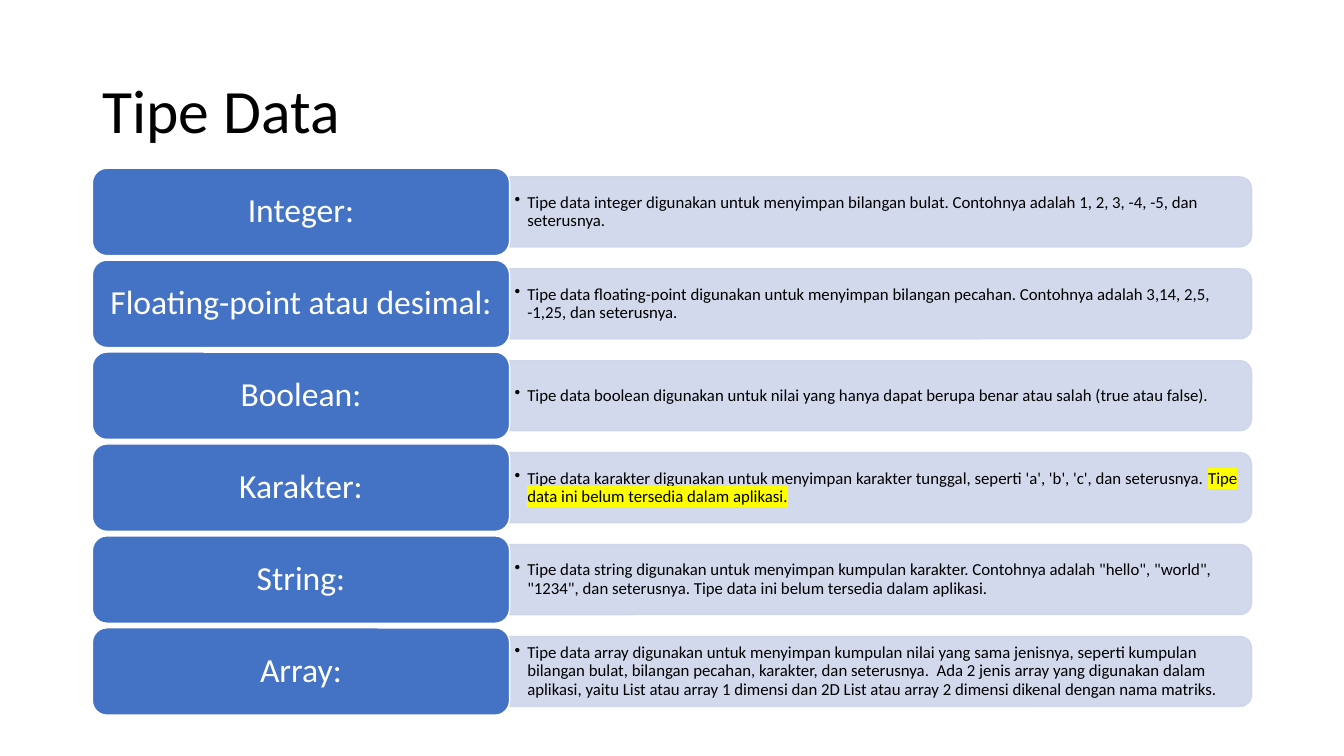
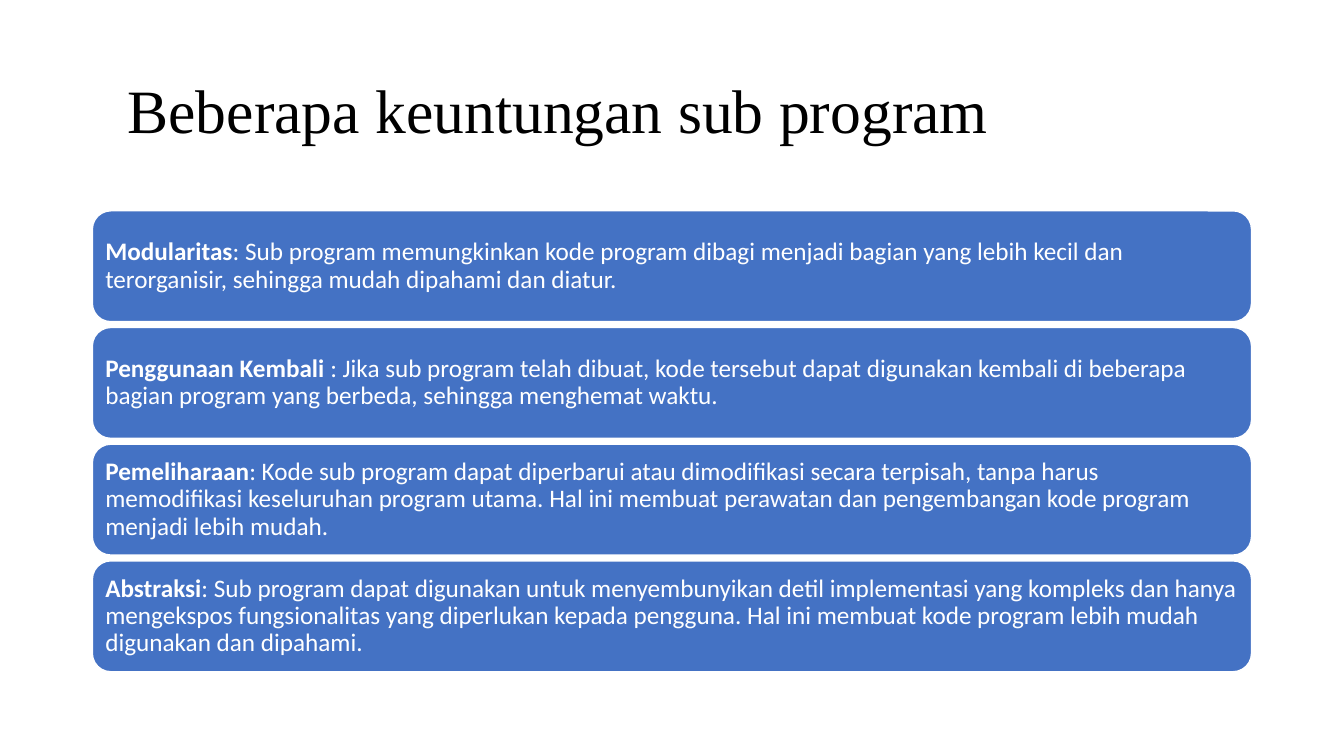
from pptx import Presentation
from pptx.dml.color import RGBColor
from pptx.enum.shapes import MSO_SHAPE
from pptx.enum.text import MSO_ANCHOR, MSO_AUTO_SIZE, PP_ALIGN
from pptx.oxml.ns import qn
from pptx.util import Pt
from lxml.etree import SubElement

BLUE = RGBColor(0x44, 0x72, 0xC4)
PALE_BLUE = RGBColor(0xCF, 0xD5, 0xEA)
WHITE = RGBColor(0xFF, 0xFF, 0xFF)
BLACK = RGBColor(0x00, 0x00, 0x00)
YELLOW = RGBColor(0xFF, 0xFF, 0x00)
BODY_FONT = "Calibri"

LEFT, WIDTH = 66, 828
LABEL_WIDTH = 298

DATA_TYPES = [
    ("Integer:", [
        ("Tipe data integer digunakan untuk menyimpan bilangan bulat. "
         "Contohnya adalah 1, 2, 3, -4, -5, dan seterusnya.", "")]),
    ("Floating-point atau desimal:", [
        ("Tipe data floating-point digunakan untuk menyimpan bilangan pecahan. "
         "Contohnya adalah 3,14, 2,5, -1,25, dan seterusnya.", "")]),
    ("Boolean:", [
        ("Tipe data boolean digunakan untuk nilai yang hanya dapat berupa "
         "benar atau salah (true atau false).", "")]),
    ("Karakter:", [
        ("Tipe data karakter digunakan untuk menyimpan karakter tunggal, "
         "seperti 'a', 'b', 'c', dan seterusnya. ", ""),
        ("Tipe data ini belum tersedia dalam aplikasi.", "highlight")]),
    ("String:", [
        ("Tipe data string digunakan untuk menyimpan kumpulan karakter. "
         "Contohnya adalah \"hello\", \"world\", \"1234\", dan seterusnya. "
         "Tipe data ini belum tersedia dalam aplikasi.", "")]),
    ("Array:", [
        ("Tipe data array digunakan untuk menyimpan kumpulan nilai yang sama "
         "jenisnya, seperti kumpulan bilangan bulat, bilangan pecahan, karakter, "
         "dan seterusnya.  Ada 2 jenis array yang digunakan dalam aplikasi, yaitu "
         "List atau array 1 dimensi dan 2D List atau array 2 dimensi dikenal "
         "dengan nama matriks.", "")]),
]

ADVANTAGES = [
    ("Modularitas",
     ": Sub program memungkinkan kode program dibagi menjadi bagian yang lebih "
     "kecil dan terorganisir, sehingga mudah dipahami dan diatur."),
    ("Penggunaan Kembali",
     " : Jika sub program telah dibuat, kode tersebut dapat digunakan kembali di "
     "beberapa bagian program yang berbeda, sehingga menghemat waktu."),
    ("Pemeliharaan",
     ": Kode sub program dapat diperbarui atau dimodifikasi secara terpisah, "
     "tanpa harus memodifikasi keseluruhan program utama. Hal ini membuat "
     "perawatan dan pengembangan kode program menjadi lebih mudah."),
    ("Abstraksi",
     ": Sub program dapat digunakan untuk menyembunyikan detil implementasi yang "
     "kompleks dan hanya mengekspos fungsionalitas yang diperlukan kepada "
     "pengguna. Hal ini membuat kode program lebih mudah digunakan dan dipahami."),
]


def highlight(r, color):
    mark = SubElement(r.font._element, qn("a:highlight"))
    SubElement(mark, qn("a:srgbClr")).set("val", str(color))
    r.font._element.find(qn("a:solidFill")).addnext(mark)


def write(sp, runs, *, size, color=BLACK, font=BODY_FONT, align=PP_ALIGN.LEFT,
          insets=(7.2, 3.6), margin=0, indent=0, bullet=False):
    """Fill a shape with one paragraph of (text, style) runs.

    A style is "", "bold" or "highlight"; insets are horizontal, vertical.
    """
    tf = sp.text_frame
    tf.word_wrap = True
    tf.auto_size = MSO_AUTO_SIZE.NONE
    tf.vertical_anchor = MSO_ANCHOR.MIDDLE
    tf.margin_left = tf.margin_right = Pt(insets[0])
    tf.margin_top = tf.margin_bottom = Pt(insets[1])
    p = tf.paragraphs[0]
    p.alignment = align
    p.line_spacing = 0.9
    pPr = p._p.get_or_add_pPr()
    pPr.set("marL", str(Pt(margin)))
    pPr.set("indent", str(Pt(indent)))
    if bullet:
        SubElement(pPr, qn("a:buChar")).set("char", "•")
    for text, style in runs:
        r = p.add_run()
        r.text = text
        r.font.size = Pt(size)
        r.font.bold = style == "bold"
        r.font.color.rgb = color
        if style == "highlight":
            highlight(r, YELLOW)
        r.font.name = font


def add_title_slide(prs, title, **text_format):
    slide = prs.slides.add_slide(prs.slide_layouts[5])
    sp = slide.shapes.title
    sp.left, sp.top, sp.width, sp.height = Pt(LEFT), Pt(28.8), Pt(WIDTH), Pt(104.4)
    write(sp, [(title, "")], size=44, **text_format)
    return slide


def add_block(slide, kind, left, top, width, height, fill, line):
    sp = slide.shapes.add_shape(kind, Pt(left), Pt(top), Pt(width), Pt(height))
    sp.shadow.inherit = False
    sp.fill.solid()
    sp.fill.fore_color.rgb = fill
    sp.line.color.rgb = line
    sp.line.width = Pt(1)
    return sp


def add_card(slide, left, top, width, height, runs, **text_format):
    sp = add_block(slide, MSO_SHAPE.ROUNDED_RECTANGLE,
                   left, top, width, height, BLUE, WHITE)
    write(sp, runs, color=WHITE, **text_format)


def add_description(slide, left, middle, width, runs):
    """Draw a bar rounded on its right side, with bulleted text over it."""
    thickness, text_height = 50, 45
    sp = add_block(slide, MSO_SHAPE.ROUND_2_SAME_RECTANGLE,
                   left + (width - thickness) / 2, middle - width / 2,
                   thickness, width, PALE_BLUE, PALE_BLUE)
    sp.rotation = 90
    for color in sp._element.spPr.iter(qn("a:srgbClr")):
        SubElement(color, qn("a:alpha")).set("val", "90000")
    box = slide.shapes.add_textbox(Pt(left), Pt(middle - text_height / 2),
                                   Pt(width - 2), Pt(text_height))
    write(box, runs, size=12, insets=(3.6, 1.8), margin=9, indent=-9, bullet=True)


def build_data_types(prs):
    slide = add_title_slide(prs, "Tipe Data")
    top, pitch, height = 120.2, 65.65, 62.4
    for i, (label, description) in enumerate(DATA_TYPES):
        y = top + i * pitch
        add_description(slide, LEFT + LABEL_WIDTH, y + height / 2,
                        WIDTH - LABEL_WIDTH, description)
        add_card(slide, LEFT, y, LABEL_WIDTH, height, [(label, "")],
                 size=24, align=PP_ALIGN.CENTER)


def build_advantages(prs):
    slide = add_title_slide(prs, "Beberapa keuntungan sub program",
                            font="Times New Roman", align=PP_ALIGN.JUSTIFY,
                            indent=18)
    top, pitch, height = 150.6, 83.35, 79.2
    for i, (name, explanation) in enumerate(ADVANTAGES):
        add_card(slide, LEFT, top + i * pitch, WIDTH, height,
                 [(name, "bold"), (explanation, "")], size=18, insets=(5.4, 5.4))


def main():
    prs = Presentation()
    prs.slide_width, prs.slide_height = Pt(960), Pt(540)
    build_data_types(prs)
    build_advantages(prs)
    prs.save("out.pptx")


if __name__ == "__main__":
    main()
